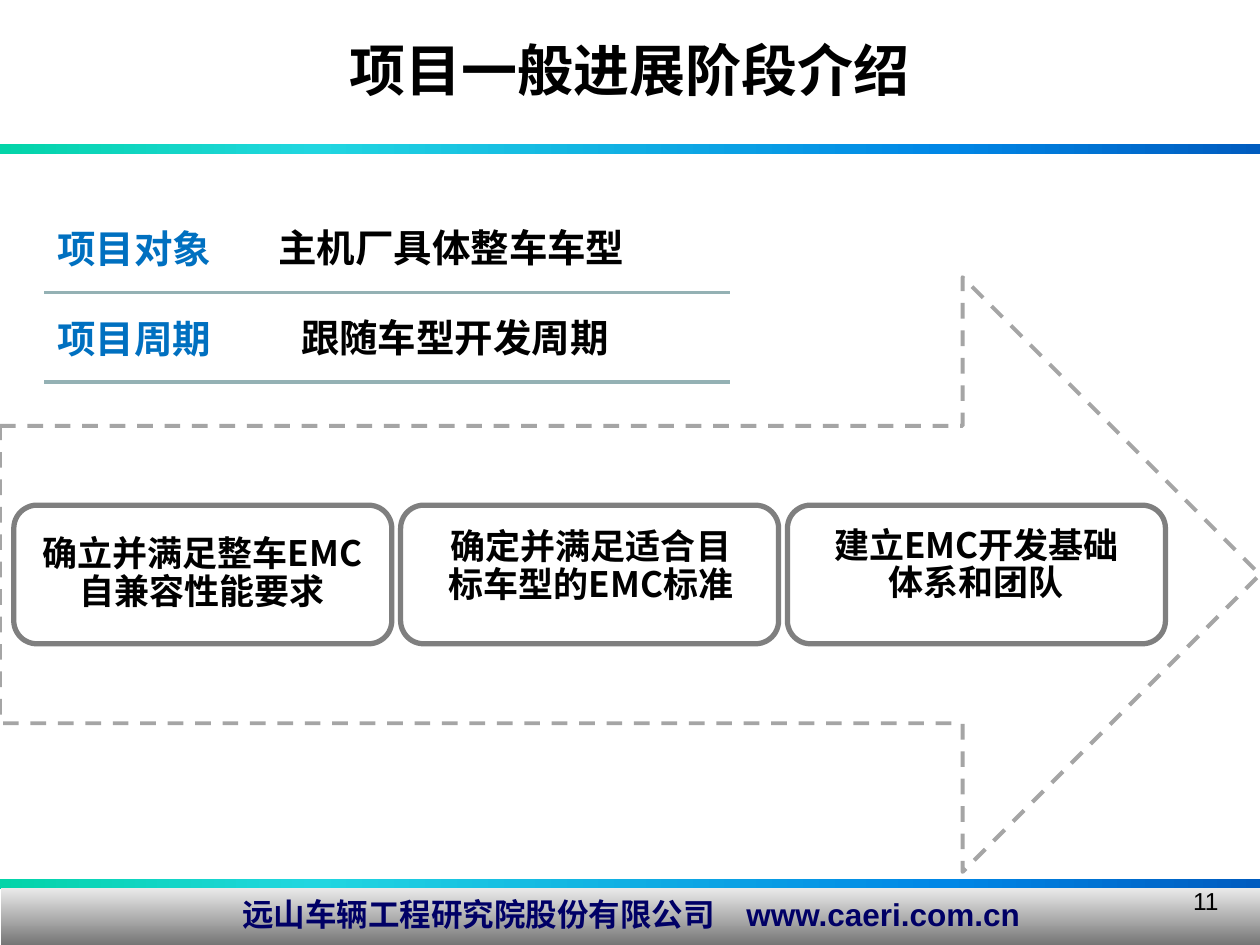
from lxml import etree
from pptx import Presentation
from pptx import util as u
from pptx.dml.color import RGBColor
from pptx.enum import dml, shapes, text
from pptx.oxml.ns import qn

# The slide is a grid of 100 columns by 75 rows.
COLS, ROWS = 100, 75
CELL = u.Inches(0.1)

BLACK = RGBColor(0x00, 0x00, 0x00)
NAVY = RGBColor(0x00, 0x00, 0x66)
LABEL_BLUE = RGBColor(0x00, 0x70, 0xC0)
RULE_TEAL = RGBColor(0x94, 0xB1, 0xB4)
ARROW_GREY = RGBColor(0xA5, 0xA5, 0xA5)
BOX_GREY = RGBColor(0x7F, 0x7F, 0x7F)
BAND_STOPS = [(0, RGBColor(0x03, 0xD4, 0xA8)), (25, RGBColor(0x21, 0xD6, 0xE0)),
              (75, RGBColor(0x00, 0x87, 0xE6)), (100, RGBColor(0x00, 0x5C, 0xBF))]
FOOTER_STOPS = [(0, RGBColor(0xEA, 0xEA, 0xEA)), (100, RGBColor(0x6C, 0x6C, 0x6C))]

CJK, LATIN = "Noto Sans CJK SC", "Arial"
TOP, MIDDLE, BOTTOM = (text.MSO_ANCHOR.TOP, text.MSO_ANCHOR.MIDDLE,
                       text.MSO_ANCHOR.BOTTOM)
LEFT, CENTER, RIGHT = text.PP_ALIGN.LEFT, text.PP_ALIGN.CENTER, text.PP_ALIGN.RIGHT


def grid(*cells):
    return [u.Emu(round(c * CELL)) for c in cells]


def write(sp, words, size, color=BLACK, bold=True, font=CJK, align=CENTER,
          anchor=TOP, spacing=None, inset=None):
    """Set one paragraph; inset, in inches, applies to all four sides."""
    tf = sp.text_frame
    tf.word_wrap = True
    tf.vertical_anchor = anchor
    if inset is not None:
        tf.margin_left = tf.margin_right = u.Inches(inset)
        tf.margin_top = tf.margin_bottom = u.Inches(inset)
    p = tf.paragraphs[0]
    p.text = words
    p.alignment = align
    p.line_spacing = spacing
    r = p.runs[0]
    r.font.size, r.font.bold, r.font.name = u.Pt(size), bold, font
    r.font.color.rgb = color
    etree.SubElement(r.font._element, qn("a:ea")).set("typeface", CJK)


def add_text(s, box, words, size, **style):
    write(s.shapes.add_textbox(*grid(*box)), words, size, **style)


def add_gradient_bar(s, box, stops, angle=0):
    sp = s.shapes.add_shape(shapes.MSO_SHAPE.RECTANGLE, *grid(*box))
    sp.shadow.inherit = False
    sp.line.fill.background()
    sp.fill.gradient()
    sp.fill.gradient_angle = angle
    stop_list = sp._element.spPr.find(".//" + qn("a:gsLst"))
    for old in list(stop_list):
        stop_list.remove(old)
    for percent, color in stops:
        stop = etree.SubElement(stop_list, qn("a:gs"), pos=str(percent * 1000))
        etree.SubElement(stop, qn("a:srgbClr"), val=str(color))
    return sp


def add_outline(s, kind, box, color, width, dash=None):
    sp = s.shapes.add_shape(kind, *grid(*box))
    sp.shadow.inherit = False
    sp.fill.background()
    sp.line.color.rgb = color
    sp.line.width = u.Pt(width)
    if dash:
        sp.line.dash_style = dash


def add_rule(s, left, right, row):
    line = s.shapes.add_connector(shapes.MSO_CONNECTOR.STRAIGHT,
                                  *grid(left, row, right, row))
    line.line.color.rgb = RULE_TEAL
    line.line.width = u.Pt(2)
    etree.SubElement(line._element.spPr, qn("a:effectLst"))


def add_frame(s):
    """Title, bands, footer and page number."""
    add_gradient_bar(s, (0, 69.8, COLS, 0.8), BAND_STOPS)
    add_gradient_bar(s, (0, 11.4, COLS, 0.8), BAND_STOPS)
    footer = add_gradient_bar(s, (0.1, 70.5, COLS, 4.9), FOOTER_STOPS, angle=270)
    write(footer, "远山车辆工程研究院股份有限公司　www.caeri.com.cn", 18,
          color=NAVY, font=LATIN)
    add_text(s, (0, 2.3, COLS, 7.7), "项目一般进展阶段介绍", 32)
    add_text(s, (74.4, 69.8, 23.3, 5.2), "11", 14, bold=False, font=LATIN,
             align=RIGHT)


def add_facts(s):
    facts = [("项目对象", "主机厂具体整车车型", 21.6),
             ("项目周期", "跟随车型开发周期", 23.4)]
    for i, (label, value, left) in enumerate(facts):
        row = 23.2 + 7.1 * i
        add_rule(s, 3.5, 57.9, row)
        add_text(s, (3.9, row - 6.5, 13.5, 6.5), label, 22, color=LABEL_BLUE,
                 anchor=MIDDLE, spacing=0.9, inset=0.05)
        add_text(s, (left, row - 8, 40.2, 6.8), value, 22, align=LEFT,
                 anchor=BOTTOM, spacing=0.9, inset=0.05)


def add_stages(s):
    add_outline(s, shapes.MSO_SHAPE.RIGHT_ARROW, (0, 22, COLS, 47.2),
                ARROW_GREY, 2.25, dml.MSO_LINE.DASH)
    stages = [("确立并满足整车EMC自兼容性能要求", (1.6, 40.6, 28.9, 9.9), MIDDLE, 0.08),
              ("确定并满足适合目标车型的EMC标准", (34.4, 41.5, 25, 7.1), TOP, None),
              ("建立EMC开发基础体系和团队", (65, 41.4, 25, 7.1), TOP, None)]
    for i, (words, box, anchor, inset) in enumerate(stages):
        add_outline(s, shapes.MSO_SHAPE.ROUNDED_RECTANGLE,
                    (1.1 + 30.7 * i, 40.1, 30, 11), BOX_GREY, 3)
        add_text(s, box, words, 20, anchor=anchor, spacing=0.9, inset=inset)


def main():
    prs = Presentation()
    prs.slide_width, prs.slide_height = grid(COLS, ROWS)
    s = prs.slides.add_slide(prs.slide_layouts[6])
    add_frame(s)
    add_stages(s)
    add_facts(s)
    prs.save("out.pptx")


if __name__ == "__main__":
    main()
